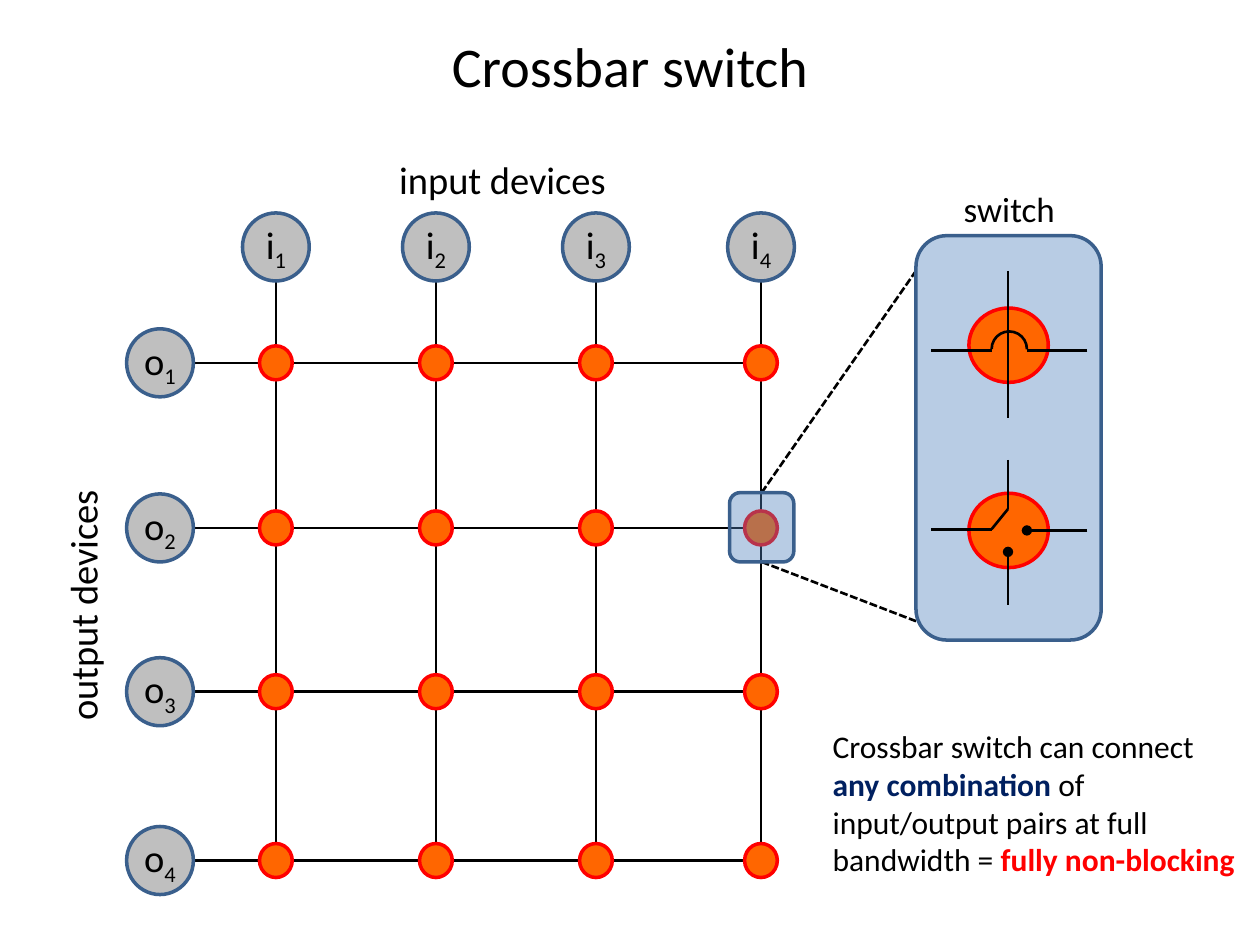
from dataclasses import dataclass

from lxml.etree import SubElement
from pptx import Presentation
from pptx.dml.color import RGBColor
from pptx.enum.dml import MSO_LINE
from pptx.enum.shapes import MSO_CONNECTOR, MSO_SHAPE
from pptx.enum.text import MSO_ANCHOR, MSO_AUTO_SIZE, PP_ALIGN
from pptx.oxml.ns import qn
from pptx.util import Inches, Pt


@dataclass(frozen=True)
class Theme:
    font: str = "Calibri"
    ink: str = "000000"
    gray: str = "BFBFBF"
    blue: str = "4F81BD"
    edge: str = "3A5F8C"
    navy: str = "002060"
    flame: str = "FF6600"
    red: str = "FF0000"
    head: int = 32
    label: int = 22
    mid: int = 20
    note: int = 18
    thin: float = 1.5
    thick: float = 2


THEME = Theme()


def add_run(para, text, size, color=THEME.ink, bold=False):
    run = para.add_run()
    run.text = text
    run.font.name = THEME.font
    run.font.size = Pt(size)
    run.font.bold = bold
    run.font.color.rgb = RGBColor.from_string(color)
    return run


def add_line(slide, x1, y1, x2, y2, dash=None, end=None):
    line = slide.shapes.add_connector(
        MSO_CONNECTOR.STRAIGHT, Inches(x1), Inches(y1), Inches(x2), Inches(y2))
    line.line.color.rgb = RGBColor.from_string(THEME.ink)
    line.line.width = Pt(THEME.thin)
    if dash:
        line.line.dash_style = dash
    props = line.element.spPr
    if end:
        SubElement(props.find(qn("a:ln")), qn(f"a:{end}"), type="oval")
    SubElement(props, qn("a:effectLst"))


def add_form(slide, kind, box, fill, edge, width=THEME.thick, alpha=None):
    form = slide.shapes.add_shape(kind, *map(Inches, box))
    form.shadow.inherit = False
    form.line.color.rgb = RGBColor.from_string(edge)
    form.line.width = Pt(width)
    if fill is None:
        form.fill.background()
        return form
    form.fill.solid()
    form.fill.fore_color.rgb = RGBColor.from_string(fill)
    if alpha:
        color = form.element.spPr.find(qn("a:solidFill"))[0]
        SubElement(color, qn("a:alpha"), val=str(alpha * 1000))
    return form


def add_dot(slide, x, y, wide, high):
    box = (x - wide / 2, y - high / 2, wide, high)
    add_form(slide, MSO_SHAPE.OVAL, box, THEME.flame, THEME.red)


def add_pane(slide, box):
    add_form(slide, MSO_SHAPE.ROUNDED_RECTANGLE, box, THEME.blue, THEME.edge, alpha=40)


def add_node(slide, x, y, name, index):
    node = add_form(slide, MSO_SHAPE.OVAL, (x - 0.265, y - 0.27, 0.53, 0.54),
                    THEME.gray, THEME.edge)
    frame = node.text_frame
    frame.margin_left = frame.margin_right = frame.margin_top = frame.margin_bottom = 0
    frame.vertical_anchor = MSO_ANCHOR.MIDDLE
    para = frame.paragraphs[0]
    para.alignment = PP_ALIGN.CENTER
    add_run(para, name, THEME.label)
    sub = add_run(para, str(index), THEME.label)
    sub.font.element.set("baseline", "-25000") if hasattr(sub.font, "element") else \
        sub._r.get_or_add_rPr().set("baseline", "-25000")


def add_text(slide, box, wrap=False):
    text = slide.shapes.add_textbox(*map(Inches, box))
    text.text_frame.word_wrap = wrap
    text.text_frame.auto_size = MSO_AUTO_SIZE.SHAPE_TO_FIT_TEXT
    return text


def add_label(slide, box, words, size, turn=0):
    label = add_text(slide, box)
    label.rotation = turn
    add_run(label.text_frame.paragraphs[0], words, size)


def draw_title(slide, box):
    title = slide.shapes.title
    title.left, title.top, title.width, title.height = map(Inches, box)
    title.text_frame.vertical_anchor = MSO_ANCHOR.MIDDLE
    para = title.text_frame.paragraphs[0]
    para.alignment = PP_ALIGN.CENTER
    add_run(para, "Crossbar switch", THEME.head)


def draw_grid(slide, box):
    left, top, wide, high = box
    cols = [left + x for x in (1.19, 2.46, 3.73, 5.04)]
    rows = [top + y for y in (1.19, 2.5, 3.8, 5.14)]
    for y in rows:
        add_line(slide, cols[-1], y, left + 0.53, y)
    for x in cols:
        add_line(slide, x, top + 0.54, x, rows[-1])
    for index, (x, y) in enumerate(zip(cols, rows), 1):
        add_node(slide, x, top + 0.27, "i", index)
        add_node(slide, left + 0.27, y, "o", index)
    for x in cols:
        for y in rows:
            add_dot(slide, x, y, 0.26, 0.27)
    add_label(slide, (left + 2.07, top - 0.5, 1.86, 0.47), "input devices", THEME.label)
    add_label(slide, (left - 1.37, top + 2.87, 2.05, 0.47), "output devices",
              THEME.label, 270)


def draw_zoom(slide, lens, panel):
    x = lens[0] + lens[2] / 2
    for y, far in ((lens[1], panel[1] + 0.28), (lens[1] + lens[3], panel[1] + 3.06)):
        add_line(slide, x, y, panel[0], far, MSO_LINE.SQUARE_DOT)


def draw_panel(slide, box):
    left, top, wide, high = box
    add_pane(slide, box)
    add_label(slide, (left + 0.28, top - 0.43, 0.93, 0.44), "switch", THEME.mid)
    for y in (0.87, 2.34):
        add_dot(slide, left + 0.735, top + y, 0.63, 0.59)
    wires = (
        (0.73, 0.28, 0.73, 1.45, None),
        (0.6, 0.91, 0.12, 0.91, None),
        (1.36, 0.91, 0.88, 0.91, None),
        (0.6, 2.33, 0.12, 2.33, None),
        (1.36, 2.34, 0.88, 2.34, "tailEnd"),
        (0.73, 1.78, 0.73, 2.17, None),
        (0.73, 2.51, 0.73, 2.93, "headEnd"),
        (0.73, 2.17, 0.6, 2.33, None),
    )
    for x1, y1, x2, y2, end in wires:
        add_line(slide, left + x1, top + y1, left + x2, top + y2, end=end)
    arc = add_form(slide, MSO_SHAPE.ARC, (left + 0.6, top + 0.76, 0.28, 0.28),
                   None, THEME.ink, THEME.thin)
    arc.rotation = 270
    arc.adjustments[0] = 162
    arc.adjustments[1] = 54.74


def draw_note(slide, box):
    frame = add_text(slide, box, wrap=True).text_frame
    add_run(frame.paragraphs[0], "Crossbar switch can connect", THEME.note)
    para = frame.add_paragraph()
    add_run(para, "any combination", THEME.note, THEME.navy, True)
    add_run(para, " of input/output pairs at full bandwidth = ", THEME.note)
    add_run(para, "fully non-blocking", THEME.note, THEME.red, True)


def main():
    deck = Presentation()
    deck.slide_width, deck.slide_height = Inches(10), Inches(7.5)
    slide = deck.slides.add_slide(deck.slide_layouts[5])
    lens = (5.79, 3.91, 0.51, 0.55)
    panel = (7.27, 1.87, 1.47, 3.21)
    draw_title(slide, (0.5, 0.17, 9, 0.7))
    draw_zoom(slide, lens, panel)
    draw_panel(slide, panel)
    draw_grid(slide, (1, 1.69, 5.18, 5.41))
    add_pane(slide, lens)
    draw_note(slide, (6.51, 5.72, 3.49, 1.31))
    deck.save("out.pptx")


if __name__ == "__main__":
    main()
